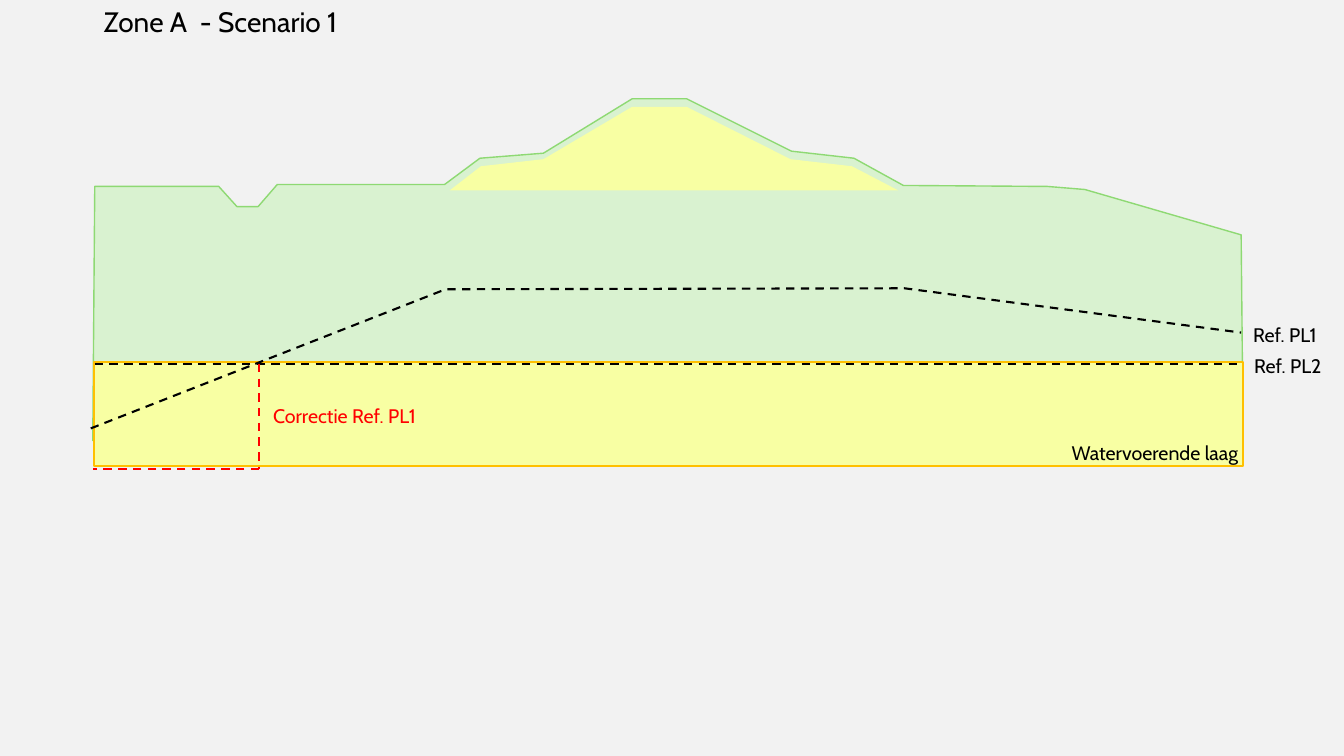
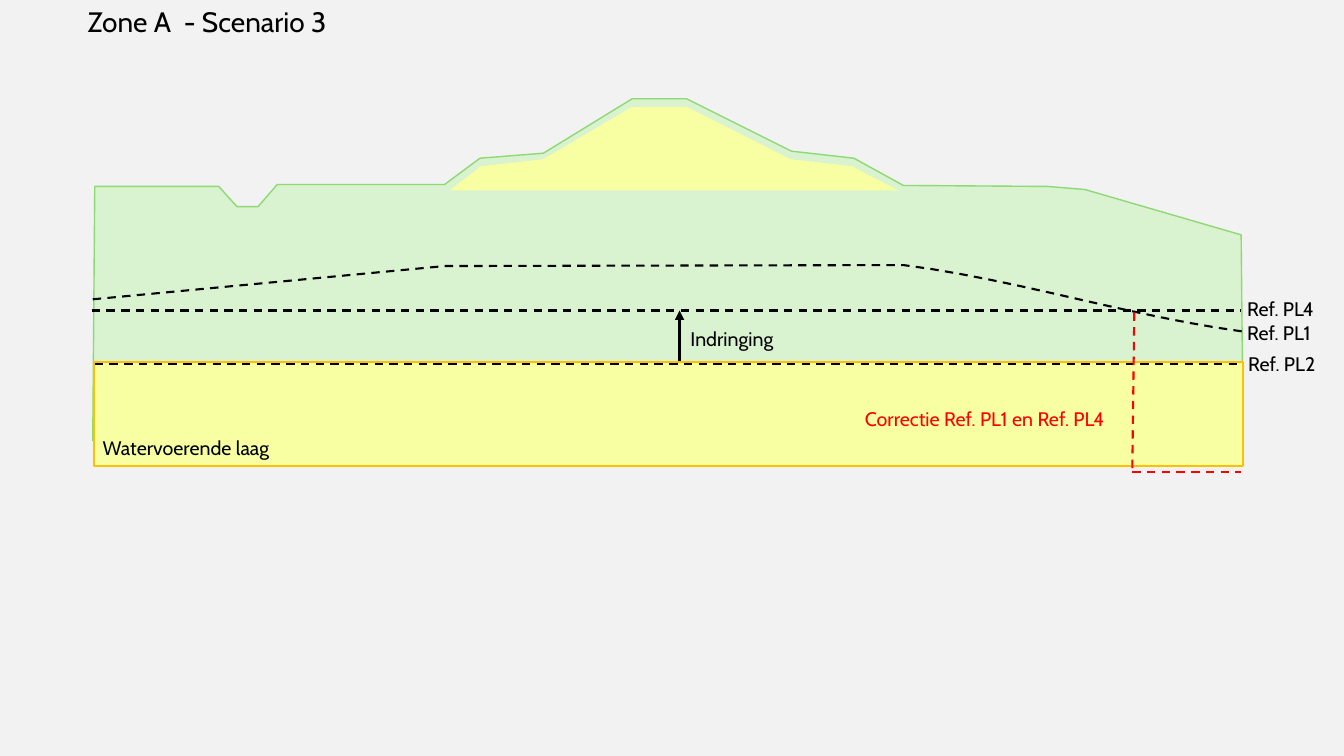
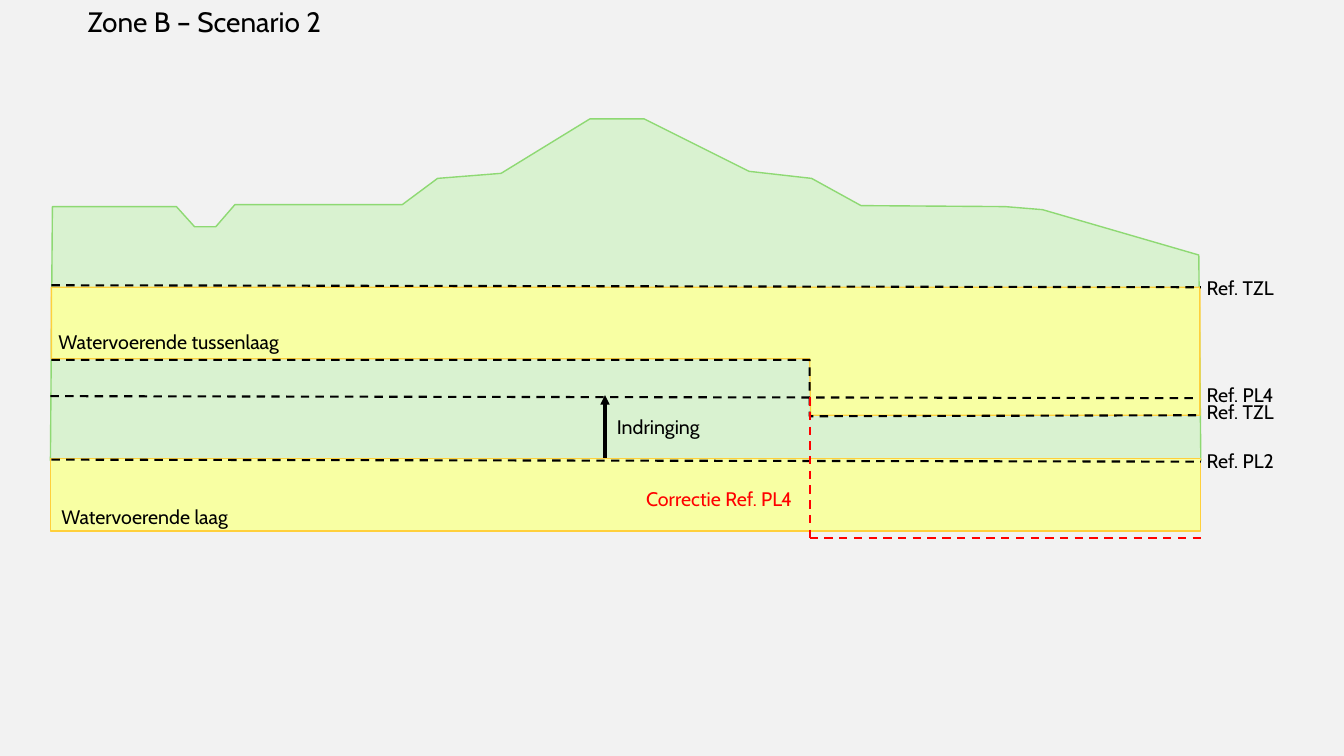
from itertools import pairwise

from lxml import etree
from pptx import Presentation
from pptx.dml.color import RGBColor
from pptx.enum.dml import MSO_LINE
from pptx.enum.shapes import MSO_CONNECTOR, MSO_SHAPE
from pptx.oxml.ns import qn
from pptx.util import Inches, Pt

STRAIGHT = MSO_CONNECTOR.STRAIGHT
RECTANGLE = MSO_SHAPE.RECTANGLE
DASH = MSO_LINE.DASH

COLOURS = {
    "background": "F2F2F2",
    "clay": "D9F2D0",
    "clay edge": "8ED973",
    "sand": "F8FFA3",
    "aquifer edge": "FFC000",
    "interlayer edge": "FFD03B",
    "black": "000000",
    "red": "FF0000",
}
FONT = "Cabin"

LEVEL = {"colour": "black", "width": 1.5, "dash": DASH}
CORRECTION = {"colour": "red", "width": 1.5, "dash": DASH}
ARROW = {"colour": "black", "width": 2.25, "dash": None}

# Points are in inches from the top left corner of the cross-section.
GROUND = [
    (0, 3.39), (11.41, 3.39), (11.39, 1.35), (9.84, 0.9), (9.47, 0.87),
    (8.04, 0.86), (7.55, 0.59), (6.93, 0.52), (5.89, 0), (5.35, 0),
    (4.47, 0.54), (3.84, 0.59), (3.49, 0.85), (1.83, 0.85), (1.64, 1.07),
    (1.43, 1.07), (1.25, 0.87), (0.02, 0.87),
]
SAND_CORE = [
    (5.35, 0.08), (5.89, 0.08), (6.92, 0.6), (7.53, 0.67),
    (7.99, 0.91), (3.54, 0.91), (3.85, 0.67), (4.47, 0.6),
]
INTERLAYER = [
    (0.01, 1.67), (11.4, 1.67), (11.4, 2.94),
    (7.54, 2.94), (7.53, 2.38), (0.01, 2.38),
]
ZONE_A = (0.92, 0.98)
ZONE_B = (0.5, 1.18)


def colour(name):
    return RGBColor.from_string(COLOURS[name])


def place(origin, point):
    return Inches(origin[0] + point[0]), Inches(origin[1] + point[1])


def curve(start, control_1, control_2, end, steps=12):
    """Return points along a cubic Bézier curve, without its start."""
    points = []
    for step in range(1, steps + 1):
        t = step / steps
        weights = ((1 - t) ** 3, 3 * t * (1 - t) ** 2, 3 * t * t * (1 - t), t ** 3)
        corners = (start, control_1, control_2, end)
        points.append(tuple(
            sum(weight * corner[axis] for weight, corner in zip(weights, corners))
            for axis in (0, 1)
        ))
    return points


def style_line(line, style):
    line.color.rgb = colour(style["colour"])
    line.width = Pt(style["width"])
    line.dash_style = style["dash"]


def style_layer(shape, fill, edge, width):
    shape.shadow.inherit = False
    shape.fill.solid()
    shape.fill.fore_color.rgb = colour(fill)
    if edge:
        style_line(shape.line, {"colour": edge, "width": width, "dash": None})
    else:
        shape.line.fill.background()


def add_outline(slide, origin, points, close):
    start, *others = [place(origin, point) for point in points]
    builder = slide.shapes.build_freeform(*start)
    builder.add_line_segments(others, close=close)
    return builder.convert_to_shape()


def add_layer(slide, origin, points, fill, edge=None, width=1):
    style_layer(add_outline(slide, origin, points, True), fill, edge, width)


def add_aquifer(slide, origin, corner, size, edge, width):
    shape = slide.shapes.add_shape(
        RECTANGLE, *place(origin, corner), Inches(size[0]), Inches(size[1]))
    style_layer(shape, "sand", edge, width)


def add_bent_level(slide, origin, points):
    shape = add_outline(slide, origin, points, False)
    shape.shadow.inherit = False
    shape.fill.background()
    style_line(shape.line, LEVEL)


def add_lines(slide, origin, points, style):
    """Join the points with straight connectors and return the last one."""
    for start, end in pairwise(points):
        connector = slide.shapes.add_connector(
            STRAIGHT, *place(origin, start), *place(origin, end))
        style_line(connector.line, style)
        etree.SubElement(connector._element.spPr, qn("a:effectLst"))
    return connector


def add_text(slide, origin, point, text, width, size=14, name="black"):
    box = slide.shapes.add_textbox(
        *place(origin, point), Inches(width), Inches(0.44 if size > 14 else 0.34))
    box.text_frame.word_wrap = True
    paragraph = box.text_frame.paragraphs[0]
    paragraph.text = text
    font = paragraph.runs[0].font
    for attribute, value in {"name": FONT, "size": Pt(size)}.items():
        setattr(font, attribute, value)
    font.color.rgb = colour(name)


def add_references(slide, origin, labels):
    for left, top, text in labels:
        add_text(slide, origin, (left, top), text, 0.98)


def add_correction(slide, origin, points, label_point, text, width):
    add_lines(slide, origin, points, CORRECTION)
    add_text(slide, origin, label_point, text, width, name="red")


def add_intrusion(slide, origin, start, end, label_point):
    """Draw the upward arrow with its label."""
    connector = add_lines(slide, origin, [start, end], ARROW)
    line = connector.line._get_or_add_ln()
    etree.SubElement(line, qn("a:tailEnd"), type="triangle")
    add_text(slide, origin, label_point, "Indringing", 1.73)


def add_zone_slide(presentation, title, title_left):
    slide = presentation.slides.add_slide(presentation.slide_layouts[6])
    slide.background.fill.solid()
    slide.background.fill.fore_color.rgb = colour("background")
    add_text(slide, (0, 0), (title_left, 0), title, 3.21, size=20)
    return slide


def add_zone_a_section(slide, origin, aquifer_label):
    add_layer(slide, origin, GROUND, "clay", "clay edge")
    add_aquifer(slide, origin, (0.01, 2.61), (11.4, 1.03), "aquifer edge", 1.5)
    add_layer(slide, origin, SAND_CORE, "sand")
    add_lines(slide, origin, [(0.02, 2.63), (11.41, 2.63)], LEVEL)
    add_text(slide, origin, aquifer_label, "Watervoerende laag", 1.91)


def add_zone_b_section(slide, origin):
    add_layer(slide, origin, GROUND, "clay", "clay edge")
    add_layer(slide, origin, INTERLAYER, "sand", "interlayer edge")
    add_aquifer(slide, origin, (0, 3.37), (11.41, 0.72), "interlayer edge", 1)
    add_text(slide, origin, (0.01, 3.78), "Watervoerende laag", 1.91)
    add_text(slide, origin, (-0.02, 2.04), "Watervoerende tussenlaag", 2.57)


def build_zone_a_scenario_1(presentation):
    slide = add_zone_slide(presentation, "Zone A  - Scenario 1", 0.93)
    add_zone_a_section(slide, ZONE_A, (9.61, 3.35))
    add_bent_level(slide, ZONE_A, [(-0.02, 3.27), (3.5, 1.89), (8.05, 1.88), (11.39, 2.32)])
    add_references(slide, ZONE_A, [(11.41, 2.17, "Ref. PL1"), (11.42, 2.48, "Ref. PL2")])
    add_correction(slide, ZONE_A, [(1.65, 2.63), (1.65, 3.67), (0, 3.67)],
                   (1.69, 2.98), "Correctie Ref. PL1", 2.36)


def build_zone_a_scenario_3(presentation):
    slide = add_zone_slide(presentation, "Zone A  - Scenario 3", 0.77)
    add_zone_a_section(slide, ZONE_A, (0, 3.3))
    crest_end = (8.04, 1.65)
    outer_slope = curve(crest_end, (9.15, 1.79), (10.29, 2.16), (11.41, 2.31))
    add_bent_level(slide, ZONE_A, [(0, 1.99), (3.49, 1.66), crest_end, *outer_slope])
    add_lines(slide, ZONE_A, [(-0.01, 2.1), (11.39, 2.1)], LEVEL)
    add_references(slide, ZONE_A, [
        (11.35, 1.92, "Ref. PL4"), (11.35, 2.15, "Ref. PL1"), (11.36, 2.46, "Ref. PL2")])
    add_intrusion(slide, ZONE_A, (5.82, 2.6), (5.82, 2.1), (5.83, 2.21))
    add_correction(slide, ZONE_A, [(10.33, 2.12), (10.31, 3.7), (11.39, 3.7)],
                   (7.56, 3.01), "Correctie Ref. PL1 en Ref. PL4", 2.8)


def build_zone_b_scenario_2(presentation):
    slide = add_zone_slide(presentation, "Zone B – Scenario 2", 0.77)
    add_zone_b_section(slide, ZONE_B)
    for start, end in [
        ((0.01, 1.65), (11.41, 1.67)),
        ((0, 2.75), (11.39, 2.77)),
        ((0.01, 3.38), (11.41, 3.4)),
    ]:
        add_lines(slide, ZONE_B, [start, end], LEVEL)
    add_bent_level(slide, ZONE_B, [(0.01, 2.39), (7.53, 2.39), (7.53, 2.95), (11.42, 2.94)])
    add_references(slide, ZONE_B, [
        (11.37, 1.51, "Ref. TZL"), (11.37, 2.57, "Ref. PL4"),
        (11.37, 2.74, "Ref. TZL"), (11.37, 3.22, "Ref. PL2")])
    add_intrusion(slide, ZONE_B, (5.5, 3.36), (5.5, 2.74), (5.52, 2.89))
    add_correction(slide, ZONE_B, [(7.53, 2.76), (7.53, 4.16), (11.41, 4.16)],
                   (5.81, 3.6), "Correctie Ref. PL4", 1.72)


def main():
    presentation = Presentation()
    presentation.slide_width = Inches(13.33)
    presentation.slide_height = Inches(7.5)
    build_zone_a_scenario_1(presentation)
    build_zone_a_scenario_3(presentation)
    build_zone_b_scenario_2(presentation)
    presentation.save("out.pptx")


if __name__ == "__main__":
    main()
